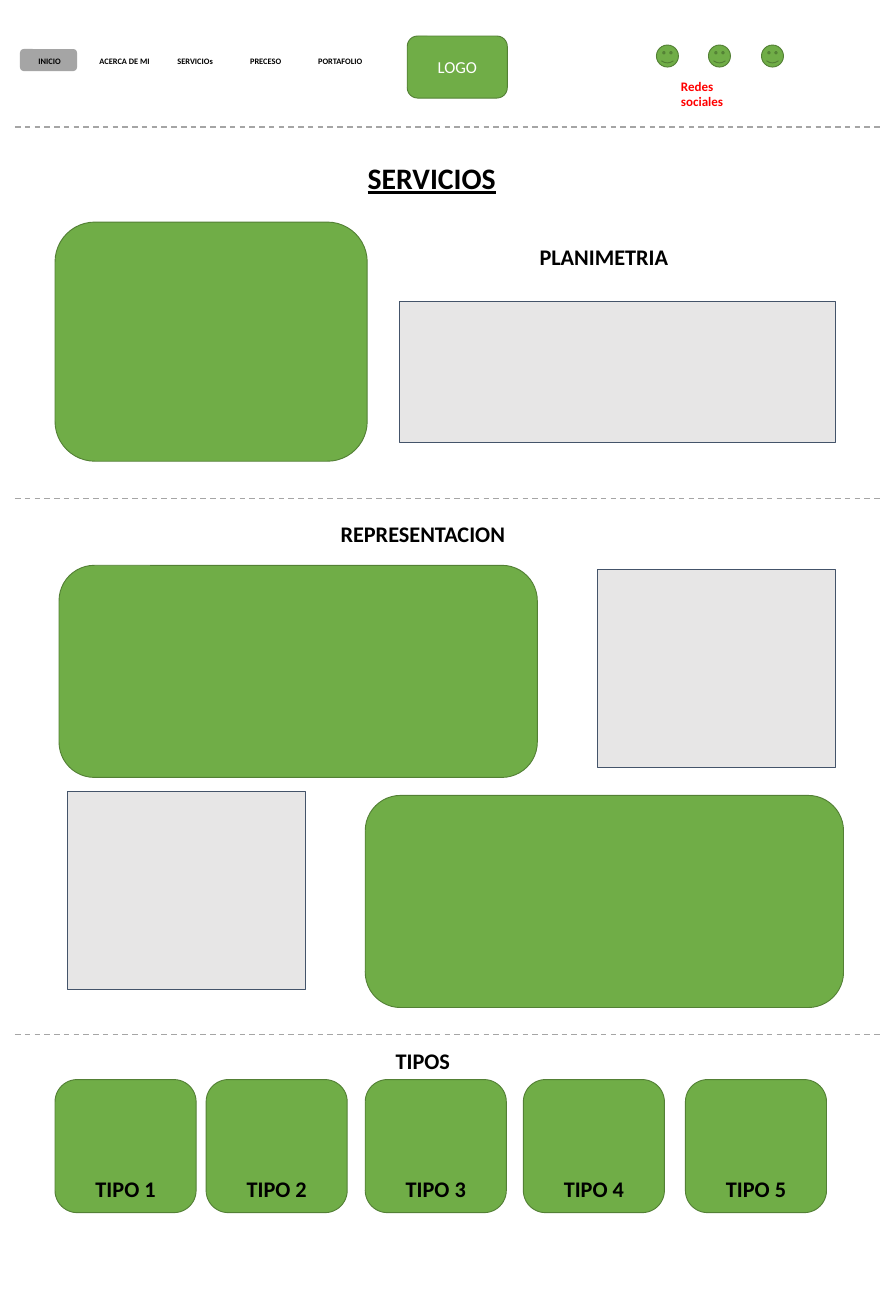
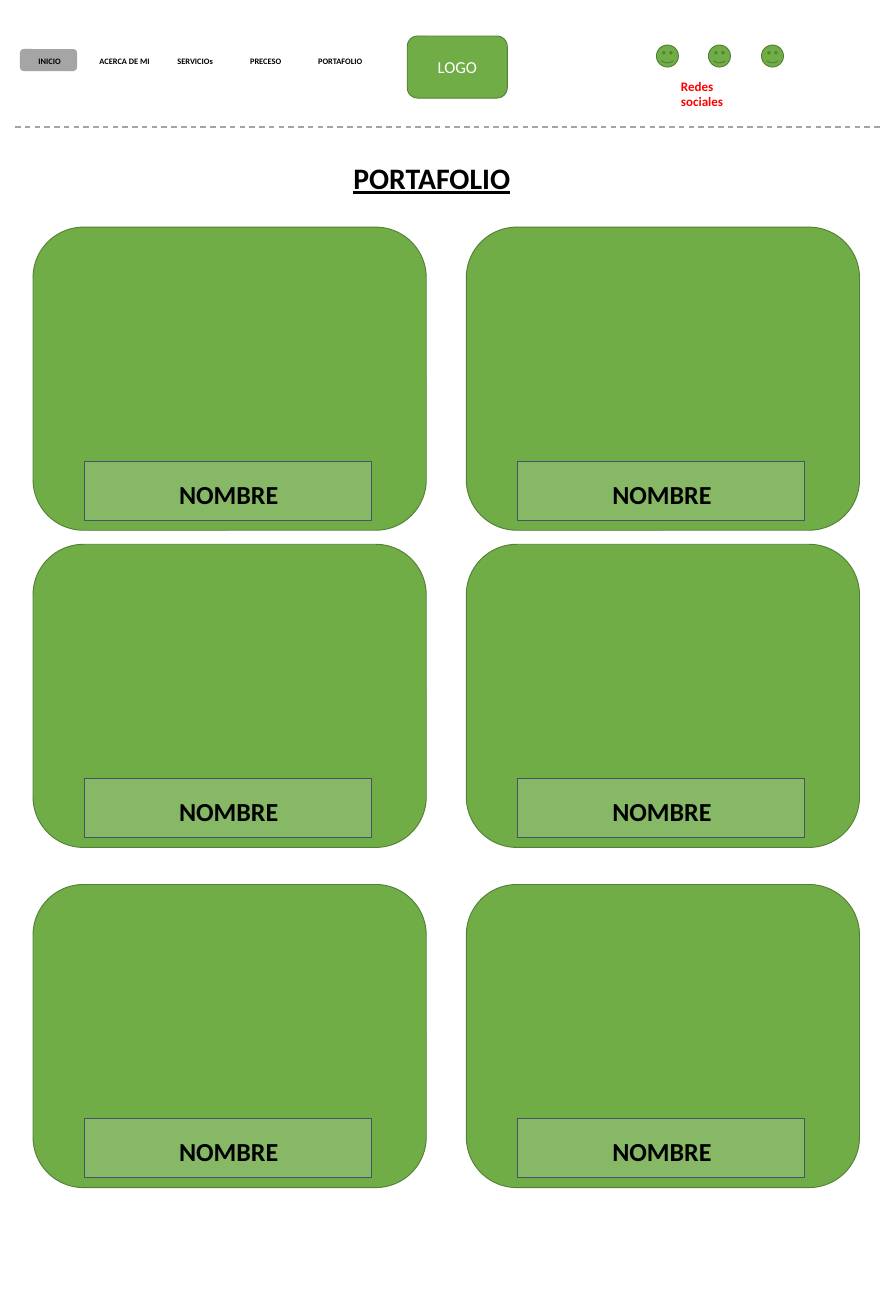
from collections import namedtuple

from lxml import etree
from pptx import Presentation
from pptx import util as u
from pptx.dml import color
from pptx.enum import dml, shapes, text
from pptx.oxml import ns

SCALE = 914400 / 66.8
FONT = "Calibri"
GREEN, DARK_GREEN = "70AD47", "538035"
PALE, NAVY, GREY = "E7E6E6", "44546A", "A5A5A5"
BLACK, WHITE, RED = "000000", "FFFFFF", "FF0000"
ROUNDED = shapes.MSO_SHAPE.ROUNDED_RECTANGLE
RECTANGLE = shapes.MSO_SHAPE.RECTANGLE
SMILEY = shapes.MSO_SHAPE.SMILEY_FACE
CENTER, LEFT = text.PP_ALIGN.CENTER, text.PP_ALIGN.LEFT


class Box(namedtuple("Box", "x y w h")):
    """Rectangle in pixels."""

    def inner(self, dx, dy, w, h):
        """Return a box placed from this box's top left corner."""
        return Box(self.x + dx, self.y + dy, w, h)

    def emu(self):
        """Return the four lengths in EMU."""
        return [px(length) for length in self]


def px(length):
    """Turn pixels into EMU."""
    return u.Emu(round(length * SCALE))


def rgb(hex_code):
    """Turn a hex string into a colour."""
    return color.RGBColor.from_string(hex_code)


def write(frame, words, size, ink=BLACK, bold=True, underline=False, align=CENTER):
    """Fill a text frame with one formatted paragraph."""
    frame.text = words
    frame.word_wrap = True
    paragraph = frame.paragraphs[0]
    paragraph.alignment = align
    font = paragraph.runs[0].font
    font.name, font.size, font.bold = FONT, u.Pt(size), bold
    font.underline = underline
    font.color.rgb = rgb(ink)


def label(parent, box, words, size, **style):
    """Add a text box."""
    caption = parent.shapes.add_textbox(*box.emu())
    write(caption.text_frame, words, size, **style)


def panel(parent, box, preset=ROUNDED, fill=GREEN, border=DARK_GREEN, opacity=100):
    """Add a filled shape, with or without a border."""
    block = parent.shapes.add_shape(preset, *box.emu())
    block.shadow.inherit = False
    block.fill.solid()
    block.fill.fore_color.rgb = rgb(fill)
    if opacity < 100:
        tint = block._element.spPr.find(".//" + ns.qn("a:srgbClr"))
        etree.SubElement(tint, ns.qn("a:alpha"), val=str(opacity * 1000))
    if border:
        block.line.color.rgb = rgb(border)
        block.line.width = u.Pt(1)
    else:
        block.line.fill.background()
    return block


def text_area(slide, box):
    """Add a pale rectangle that stands for running text."""
    panel(slide, box, RECTANGLE, PALE, NAVY)


def divider(slide, y):
    """Draw a dashed rule across the page."""
    rule = slide.shapes.add_connector(
        shapes.MSO_CONNECTOR.STRAIGHT, px(15), px(y), px(879), px(y))
    rule.line.color.rgb = rgb(GREY)
    rule.line.width = u.Pt(1.5)
    rule.line.dash_style = dml.MSO_LINE.DASH
    etree.SubElement(rule._element.spPr, ns.qn("a:effectLst"))


def navigation(slide, box):
    """Add the menu with its first entry highlighted."""
    menu = slide.shapes.add_group_shape()
    panel(menu, box.inner(0, 0, 57, 22), fill=GREY, border=None)
    entries = [("INICIO", 4, 51), ("ACERCA DE MI", 65, 79), ("SERVICIOs", 144, 62),
               ("PRECESO", 218, 55), ("PORTAFOLIO", 283, 74)]
    for entry, dx, width in entries:
        label(menu, box.inner(dx, 4, width, 17), entry, 9)


def social(slide, box):
    """Add the social network icons and their caption."""
    for dx in (0, 52, 105):
        panel(slide, box.inner(dx, 0, 22, 22), SMILEY)
    label(slide, box.inner(18, 30, 86, 38), "Redes sociales", 14, ink=RED, align=LEFT)


def page(deck, heading):
    """Add a slide with the shared header and title."""
    slide = deck.slides.add_slide(deck.slide_layouts[5])
    title = slide.shapes.title
    title.left, title.top, title.width, title.height = Box(235, 156, 393, 43).emu()
    write(title.text_frame, heading, 32, underline=True)
    title.text_frame.auto_size = text.MSO_AUTO_SIZE.NONE
    title.text_frame.vertical_anchor = text.MSO_ANCHOR.TOP
    navigation(slide, Box(20, 49, 357, 22))
    logo = panel(slide, Box(407, 36, 100, 62))
    write(logo.text_frame, "LOGO", 18, ink=WHITE, bold=False)
    logo.text_frame.vertical_anchor = text.MSO_ANCHOR.MIDDLE
    social(slide, Box(656, 45, 127, 68))
    divider(slide, 127)
    return slide


def planimetry(slide, box):
    """Add the first service: image area, heading and text area."""
    panel(slide, box.inner(0, 0, 312, 239))
    label(slide, box.inner(352, 18, 393, 33), "PLANIMETRIA", 24)
    text_area(slide, box.inner(344, 79, 436, 141))


def representation(slide, box):
    """Add the second service: two alternating rows under a heading."""
    label(slide, box.inner(167, 0, 393, 33), "REPRESENTACION", 24)
    panel(slide, box.inner(0, 48, 478, 212))
    text_area(slide, box.inner(538, 52, 238, 198))
    text_area(slide, box.inner(8, 274, 238, 198))
    panel(slide, box.inner(306, 278, 478, 212))


def types_row(slide, box):
    """Add the numbered type cards under their heading."""
    label(slide, box.inner(171, 0, 393, 33), "TIPOS", 24)
    for number, dx in enumerate((0, 151, 310, 468, 630), 1):
        card = box.inner(dx, 36, 141, 133)
        panel(slide, card)
        label(slide, card.inner(5, 92, 131, 33), f"TIPO {number}", 24)


def project(slide, box):
    """Add a portfolio card with its translucent name band."""
    panel(slide, box)
    panel(slide, box.inner(51, 234, 287, 59), RECTANGLE, PALE, NAVY, opacity=20)
    label(slide, box.inner(47, 248, 297, 38), "NOMBRE", 28)


def services_page(deck):
    """Build the services slide."""
    slide = page(deck, "SERVICIOS")
    planimetry(slide, Box(55, 222, 780, 239))
    divider(slide, 498)
    representation(slide, Box(59, 517, 784, 490))
    divider(slide, 1034)
    types_row(slide, Box(55, 1043, 771, 169))


def portfolio_page(deck):
    """Build the portfolio slide."""
    slide = page(deck, "PORTAFOLIO")
    for top in (227, 544, 884):
        for left in (33, 466):
            project(slide, Box(left, top, 393, 303))


deck = Presentation()
deck.slide_width, deck.slide_height = u.Inches(13.33), u.Inches(19.69)
services_page(deck)
portfolio_page(deck)
deck.save("out.pptx")
